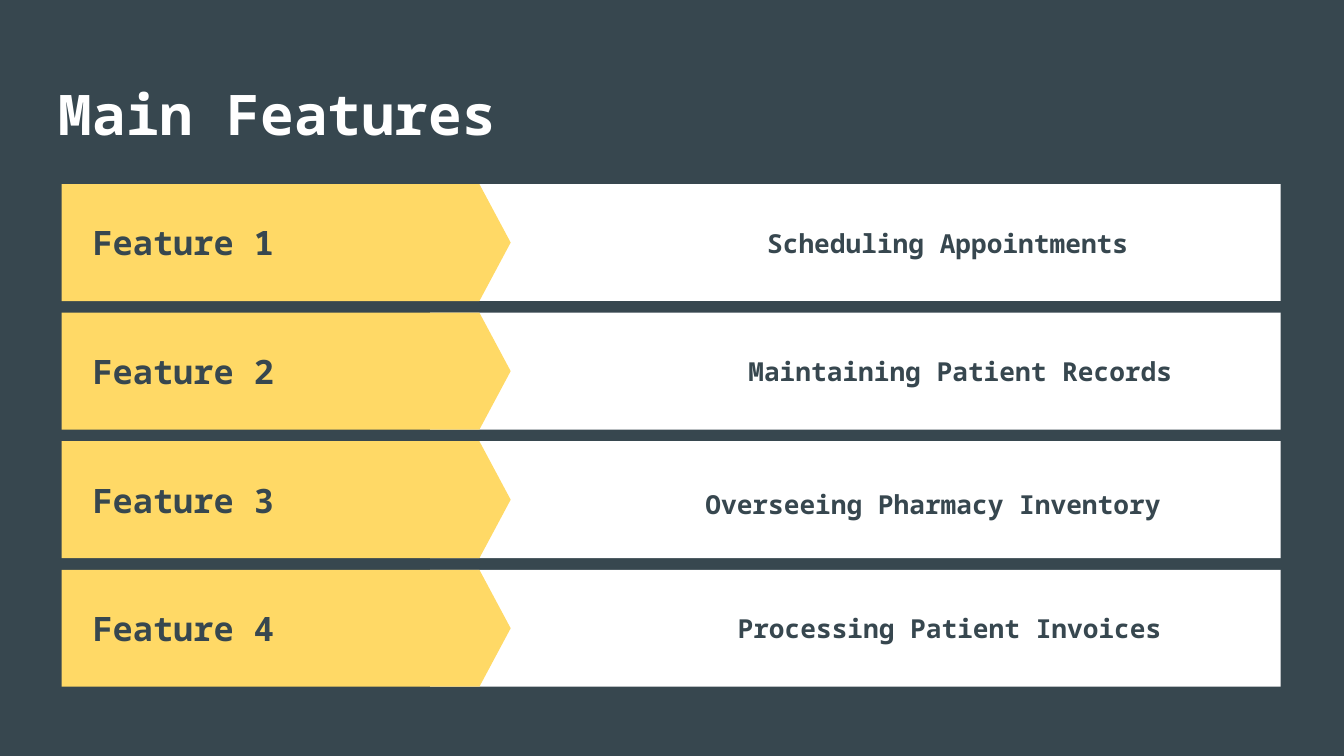
from pptx import Presentation
from pptx.dml.color import RGBColor
from pptx.enum.shapes import MSO_SHAPE
from pptx.enum.text import MSO_ANCHOR
from pptx.util import Inches, Pt

RECT, PENTAGON = MSO_SHAPE.RECTANGLE, MSO_SHAPE.PENTAGON
TOP, MIDDLE = MSO_ANCHOR.TOP, MSO_ANCHOR.MIDDLE
FONT = "Noto Sans Mono"
COLORS = {"slate": "37474F", "yellow": "FFD966", "white": "FFFFFF"}

SLIDE_W = 10
SLIDE_H = SLIDE_W * 9 / 16
ROWS_BOX = (0.46, 1.37, 9.07, 3.74)
ROW_H = 0.87
PANEL_X, TAG_W, LABEL_X, LABEL_W = 2.74, 3.34, 0.13, 2.65

# Label, detail, and the detail's offset from the row's left and top
FEATURES = [
    ("Feature 1", "Scheduling Appointments", 5.15, 0),
    ("Feature 2", "Maintaining Patient Records", 5.01, 0),
    ("Feature 3", "Overseeing Pharmacy Inventory", 4.69, 0.03),
    ("Feature 4", "Processing Patient Invoices", 4.93, 0),
]


def rgb(name):
    """Return a palette colour."""
    return RGBColor.from_string(COLORS[name])


def add_block(slide, kind, box, color):
    """Add a flat, borderless shape."""
    sp = slide.shapes.add_shape(kind, *map(Inches, box))
    sp.shadow.inherit = False
    sp.fill.solid()
    sp.fill.fore_color.rgb = rgb(color)
    sp.line.fill.background()
    return sp


def add_text(slide, box, text, size, color, anchor=MIDDLE):
    """Add one bold line of text with even insets."""
    tf = slide.shapes.add_textbox(*map(Inches, box)).text_frame
    tf.word_wrap = True
    tf.vertical_anchor = anchor
    tf.margin_left = tf.margin_right = Inches(0.1)
    tf.margin_top = tf.margin_bottom = Inches(0.1)
    p = tf.paragraphs[0]
    p.text = text
    p.font.name, p.font.size, p.font.bold = FONT, Pt(size), True
    p.font.color.rgb = rgb(color)


def add_feature(slide, box, label, detail, dx, dy):
    """Add a white panel with a yellow arrow tag and both texts."""
    x, y, w, h = box
    add_block(slide, RECT, (x + PANEL_X, y, w - PANEL_X, h), "white")
    tag = add_block(slide, PENTAGON, (x, y, TAG_W, h), "yellow")
    tag.adjustments[0] = 0.267
    add_text(slide, (x + LABEL_X, y, LABEL_W, h), label, 18, "slate")
    add_text(slide, (x + dx, y + dy, w - dx, h), detail, 14, "slate")


def add_feature_rows(slide, box, features):
    """Spread the features over the box with equal gaps."""
    x, y, w, h = box
    pitch = (h - ROW_H) / (len(features) - 1)
    for i, feature in enumerate(features):
        add_feature(slide, (x, y + i * pitch, w, ROW_H), *feature)


def build_slide(prs):
    """Build the main features slide."""
    slide = prs.slides.add_slide(prs.slide_layouts[6])
    slide.background.fill.solid()
    slide.background.fill.fore_color.rgb = rgb("slate")
    add_text(slide, (0.34, 0.49, 9.32, 0.63), "Main Features", 30, "white", TOP)
    add_feature_rows(slide, ROWS_BOX, FEATURES)


prs = Presentation()
prs.slide_width, prs.slide_height = Inches(SLIDE_W), Inches(SLIDE_H)
build_slide(prs)
prs.save("out.pptx")
